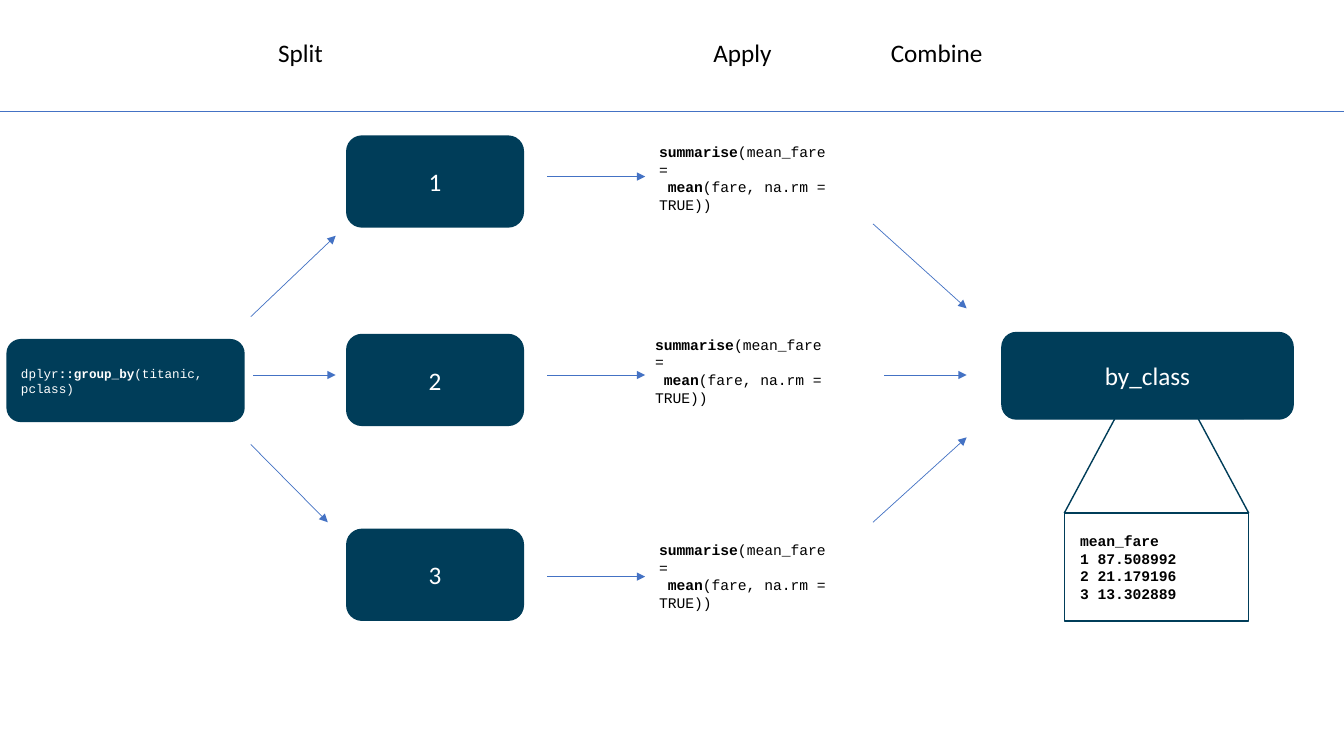
import dataclasses
import pptx
import pptx.util
import pptx.dml.color
import pptx.enum.dml
import pptx.enum.shapes
import pptx.enum.text
import pptx.oxml
import pptx.oxml.ns

Cm = pptx.util.Cm
Shapes = pptx.enum.shapes.MSO_SHAPE
Align = pptx.enum.text.PP_ALIGN
Anchor = pptx.enum.text.MSO_ANCHOR


@dataclasses.dataclass(frozen=True)
class Theme:
    navy: str = "003D59"
    blue: str = "4472C4"
    black: str = "000000"
    white: str = "FFFFFF"
    sans: str = "Calibri"
    mono: str = "Courier New"
    label: float = 18
    code: float = 10.5
    small_code: float = 9
    outline: float = 1
    arrow: float = 0.5


@dataclasses.dataclass(frozen=True)
class Box:
    left: float
    top: float
    width: float
    height: float

    def inner(self, left, top, width, height):
        return Box(self.left + left, self.top + top, width, height)

    def lengths(self):
        return [Cm(n) for n in (self.left, self.top, self.width, self.height)]


THEME = Theme()


def rgb(value):
    return pptx.dml.color.RGBColor.from_string(value)


def write(frame, lines, font, size, color, align=Align.LEFT):
    for number, pieces in enumerate(lines):
        paragraph = frame.add_paragraph() if number else frame.paragraphs[0]
        paragraph.alignment = align
        for text, bold in pieces:
            run = paragraph.add_run()
            run.text = text
            run.font.name = font
            run.font.size = pptx.util.Pt(size)
            run.font.bold = bold
            run.font.color.rgb = rgb(color)


def add_panel(slide, box, preset, fill=None):
    panel = slide.shapes.add_shape(preset, *box.lengths())
    panel.shadow.inherit = False
    if fill:
        panel.fill.solid()
        panel.fill.fore_color.rgb = rgb(fill)
    else:
        panel.fill.background()
    panel.line.color.rgb = rgb(THEME.navy)
    panel.line.width = pptx.util.Pt(THEME.outline)
    panel.text_frame.vertical_anchor = Anchor.MIDDLE
    return panel


def add_node(slide, box, text):
    node = add_panel(slide, box, Shapes.ROUNDED_RECTANGLE, THEME.navy)
    write(node.text_frame, [[(text, False)]], THEME.sans, THEME.label, THEME.white, Align.CENTER)


def add_text(slide, box, lines, font, size, wrap=True):
    frame = slide.shapes.add_textbox(*box.lengths()).text_frame
    frame.word_wrap = wrap
    frame.auto_size = pptx.enum.text.MSO_AUTO_SIZE.SHAPE_TO_FIT_TEXT
    write(frame, lines, font, size, THEME.black)


def add_line(slide, box, x1, y1, x2, y2, color, width, arrow=False):
    ends = box.left + x1, box.top + y1, box.left + x2, box.top + y2
    line = slide.shapes.add_connector(
        pptx.enum.shapes.MSO_CONNECTOR.STRAIGHT, *[Cm(n) for n in ends])
    line.line.color.rgb = rgb(color)
    line.line.width = pptx.util.Pt(width)
    if arrow:
        head = pptx.oxml.parse_xml(
            f'<a:tailEnd {pptx.oxml.ns.nsdecls("a")} type="triangle"/>')
        line.line._get_or_add_ln().append(head)
    line._element.spPr.append(
        pptx.oxml.parse_xml(f'<a:effectLst {pptx.oxml.ns.nsdecls("a")}/>'))


def add_arrow(slide, box, *ends):
    add_line(slide, box, *ends, THEME.blue, THEME.arrow, arrow=True)


def draw_header(slide, box):
    for stage, left, width in (("Split", 6.76, 1.65), ("Apply", 17.73, 2.01), ("Combine", 22.2, 2.84)):
        add_text(slide, box.inner(left, 0.81, width, 1.02), [[(stage, False)]],
                 THEME.sans, THEME.label, wrap=False)
    add_line(slide, box, 0, box.height, box.width, box.height, THEME.blue, THEME.arrow)


def draw_split(slide, box):
    group_by = add_panel(slide, box.inner(0.18, 5.76, 5.97, 2.06), Shapes.ROUNDED_RECTANGLE, THEME.navy)
    call = [("dplyr", False), ("::group_by", True), ("(titanic, pclass)", False)]
    write(group_by.text_frame, [call], THEME.mono, THEME.small_code, THEME.white)
    for group, top in (("1", 0.63), ("2", 5.63), ("3", 10.54)):
        add_node(slide, box.inner(8.74, top, 4.45, 2.29), group)
    for ends in ((6.32, 5.18, 8.46, 3.14), (6.38, 6.65, 8.46, 6.65), (6.32, 8.4, 8.26, 10.36)):
        add_arrow(slide, box, *ends)


def draw_apply(slide, box):
    summarise = [
        [("summarise", True), ("(mean_fare =", False)],
        [(" ", False), ("mean", True), ("(fare, na.rm = TRUE))", False)],
    ]
    for left, top, arrow_y in ((2.86, 0.68, 1.65), (2.76, 5.53, 6.65), (2.86, 10.71, 11.73)):
        add_arrow(slide, box, 0.29, arrow_y, 2.76, arrow_y)
        add_text(slide, box.inner(left, top, 4.98, 2.08), summarise, THEME.mono, THEME.code)


def draw_combine(slide, box):
    for ends in ((0.5, 2.84, 2.86, 4.97), (0.78, 6.65, 2.86, 6.65), (0.5, 10.36, 2.86, 8.22)):
        add_arrow(slide, box, *ends)
    add_node(slide, box.inner(3.75, 5.58, 7.34, 2.18), "by_class")
    draw_result(slide, box.inner(5.32, 7.76, 4.65, 5.09))


def draw_result(slide, box):
    table_top, inset = 2.37, 1.27
    add_panel(slide, box.inner(0, table_top, box.width, box.height - table_top), Shapes.RECTANGLE)
    for upper, lower in ((inset, 0), (box.width - inset, box.width)):
        add_line(slide, box, upper, 0, lower, table_top, THEME.navy, THEME.outline)
    rows = ("mean_fare", "1 87.508992", "2 21.179196", "3 13.302889")
    add_text(slide, box.inner(0.15, table_top + 0.35, 4.98, 2.06),
             [[(row, True)] for row in rows], THEME.mono, THEME.code)


deck = pptx.Presentation()
deck.slide_width, deck.slide_height = Cm(33.87), Cm(19.05)
slide = deck.slides.add_slide(deck.slide_layouts[6])
header_height, body_height = 2.8, 16.25
draw_header(slide, Box(0, 0, 33.87, header_height))
draw_split(slide, Box(0, header_height, 13.5, body_height))
draw_apply(slide, Box(13.5, header_height, 8, body_height))
draw_combine(slide, Box(21.5, header_height, 12.37, body_height))
deck.save("out.pptx")
